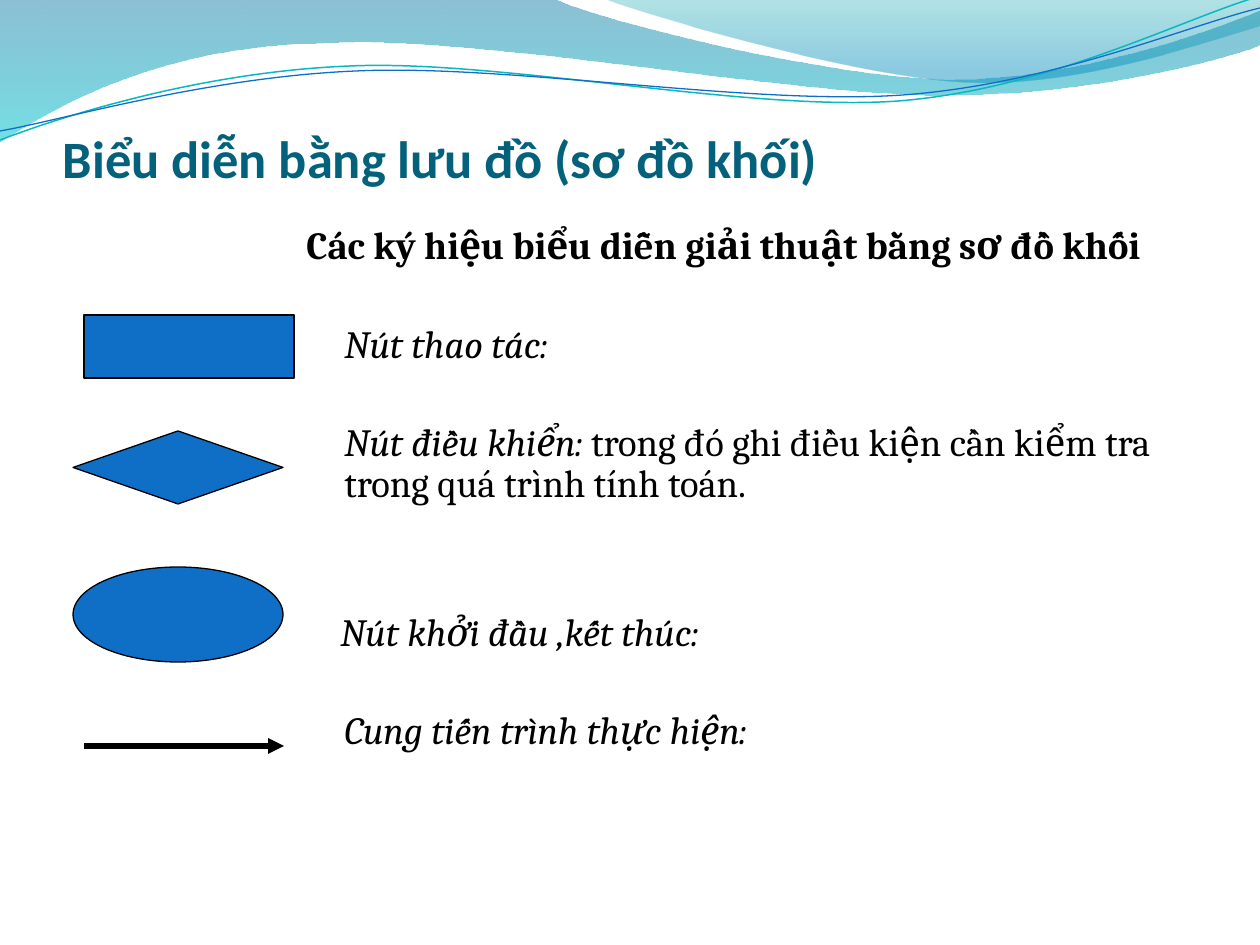
from lxml import etree
from pptx import Presentation
from pptx.dml.color import RGBColor
from pptx.enum.shapes import MSO_CONNECTOR, MSO_SHAPE
from pptx.enum.text import MSO_ANCHOR
from pptx.oxml.ns import qn
from pptx.util import Pt

EMU_PER_PX = 914400 / 126
BLACK, BLUE, TITLE_COLOR = "000000", "0F6FC6", "04617B"

# Start point, then segments: one end point (line) or two controls and an end (curve).
BANDS = [
    ((0, 0),
     [[(554, -1)],
      [(600, 21), (837, 79), (955, 79)],
      [(1074, 79), (1207, 33), (1260, 11)],
      [(1261, 45)],
      [(1239, 55), (1096, 96), (940, 95)],
      [(784, 95), (481, 35), (324, 43)],
      [(163, 45), (58, 105), (-1, 142)]],
     [(0, "0074A1", 45), (1, "00C6CF", 55)]),
    ((604, -1),
     [[(641, 14), (859, 78), (969, 82)],
      [(1079, 87), (1211, 40), (1260, 26)],
      [(1260, 0)]],
     [(0, "00A1A9", 30), (0.8, "008BBF", 45)]),
]
WAVE_LINES = [
    ((0, 140),
     [[(60, 117), (199, 72), (349, 66)],
      [(498, 59), (747, 112), (898, 101)],
      [(1049, 89), (1182, 19), (1257, -3)]],
     "0AB8BF", 0.85),
    ((0, 131),
     [[(59, 121), (207, 77), (357, 71)],
      [(508, 64), (752, 106), (903, 95)],
      [(1053, 84), (1186, 26), (1260, 8)]],
     BLUE, 0.75),
]

# Space before (points), left indent (px), runs of (text, bold, italic)
DESCRIPTIONS = [
    (4, 0, [("Các ký hiệu biểu diễn giải thuật bằng sơ đồ khối", True, False)]),
    (32.6, 38, [("Nút thao tác:", False, True)]),
    (32.4, 38, [("Nút điều khiển: ", False, True),
                ("trong đó ghi điều kiện cần kiểm tra trong quá trình tính toán.",
                 False, False)]),
    (61, 34, [("Nút khởi đầu ,kết thúc:", False, True)]),
    (32.4, 38, [("Cung tiến trình thực hiện:", False, True)]),
]

# Preset, then left, top, width and height within the symbol column
SYMBOLS = [
    (MSO_SHAPE.RECTANGLE, (11, 0, 210, 63)),
    (MSO_SHAPE.FLOWCHART_DECISION, (0, 116, 210, 73)),
    (MSO_SHAPE.OVAL, (0, 252, 210, 95)),
]


def px(length):
    return round(length * EMU_PER_PX)


def color(hex_string):
    return RGBColor.from_string(hex_string)


def set_line(line, hex_string, width):
    line.color.rgb = color(hex_string)
    line.width = Pt(width)


def add_outline(slide, left, top, start, segments, close):
    """Draw an outline whose three-point segments are Bezier curves."""
    points = [(px(left + x), px(top + y))
              for x, y in [start, *(point for segment in segments for point in segment)]]
    builder = slide.shapes.build_freeform(*points[0], scale=1.0)
    builder.add_line_segments(points[1:], close=close)
    shape = builder.convert_to_shape()
    shape.shadow.inherit = False
    # Join the three straight steps of each curve into one curve
    steps = iter(list(shape._element.spPr.iter(qn("a:lnTo"))))
    for segment in segments:
        first, *others = [next(steps) for _ in segment]
        if others:
            first.addprevious(curve := etree.Element(qn("a:cubicBezTo")))
            for step in (first, *others):
                curve.append(step[0])
                step.getparent().remove(step)
    return shape


def add_waves(slide, left, top):
    # Translucent bands
    for start, segments, stops in BANDS:
        shape = add_outline(slide, left, top, start, segments, True)
        shape.line.fill.background()
        shape.fill.gradient()
        shape.fill.gradient_angle = 270
        for stop, (position, hex_string, _) in zip(shape.fill.gradient_stops, stops):
            stop.position = position
            stop.color.rgb = color(hex_string)
        for element, (_, _, opacity) in zip(shape._element.spPr.iter(qn("a:srgbClr")), stops):
            etree.SubElement(element, qn("a:alpha")).set("val", str(opacity * 1000))
    # Thin lines
    for start, segments, hex_string, width in WAVE_LINES:
        shape = add_outline(slide, left, top, start, segments, False)
        shape.fill.background()
        set_line(shape.line, hex_string, width)


def add_text_frame(slide, left, top, width, height):
    box = slide.shapes.add_textbox(px(left), px(top), px(width), px(height))
    box.text_frame.word_wrap = True
    return box.text_frame


def add_title(slide, left, top, width, height):
    frame = add_text_frame(slide, left, top, width, height)
    frame.vertical_anchor = MSO_ANCHOR.BOTTOM
    frame.margin_left = frame.margin_right = frame.margin_bottom = 0
    paragraph = frame.paragraphs[0]
    paragraph.text = "Biểu diễn bằng lưu đồ (sơ đồ khối)"
    font = paragraph.font
    font.name, font.size, font.bold = "Calibri", Pt(30), True
    font.color.rgb = color(TITLE_COLOR)


def add_descriptions(slide, left, top, width, height):
    frame = add_text_frame(slide, left, top, width, height)
    for index, (space, indent, runs) in enumerate(DESCRIPTIONS):
        paragraph = frame.add_paragraph() if index else frame.paragraphs[0]
        paragraph.line_spacing = 0.9
        paragraph.space_before = Pt(space)
        paragraph._p.get_or_add_pPr().set("marL", str(px(indent)))
        paragraph.font.name, paragraph.font.size = "Cambria", Pt(22)
        paragraph.font.color.rgb = color(BLACK)
        for text, bold, italic in runs:
            run = paragraph.add_run()
            run.text = text
            run.font.bold, run.font.italic = bold, italic


def add_symbols(slide, left, top):
    for preset, (x, y, width, height) in SYMBOLS:
        shape = slide.shapes.add_shape(preset, px(left + x), px(top + y),
                                       px(width), px(height))
        shape.shadow.inherit = False
        shape.fill.solid()
        shape.fill.fore_color.rgb = color(BLUE)
        set_line(shape.line, BLACK, 0.75)
    # Flow arrow
    arrow = slide.shapes.add_connector(MSO_CONNECTOR.STRAIGHT, px(left + 11), px(top + 431),
                                       px(left + 211), px(top + 431))
    set_line(arrow.line, BLACK, 3)
    etree.SubElement(arrow.line._get_or_add_ln(), qn("a:tailEnd")).set("type", "triangle")
    etree.SubElement(arrow._element.spPr, qn("a:effectLst"))


def main():
    presentation = Presentation()
    presentation.slide_width, presentation.slide_height = px(1260), px(945)
    slide = presentation.slides.add_slide(presentation.slide_layouts[6])
    add_waves(slide, 0, 0)
    add_title(slide, 63, 97, 1134, 92)
    add_descriptions(slide, 294, 220, 903, 630)
    add_symbols(slide, 73, 315)
    presentation.save("out.pptx")


if __name__ == "__main__":
    main()
